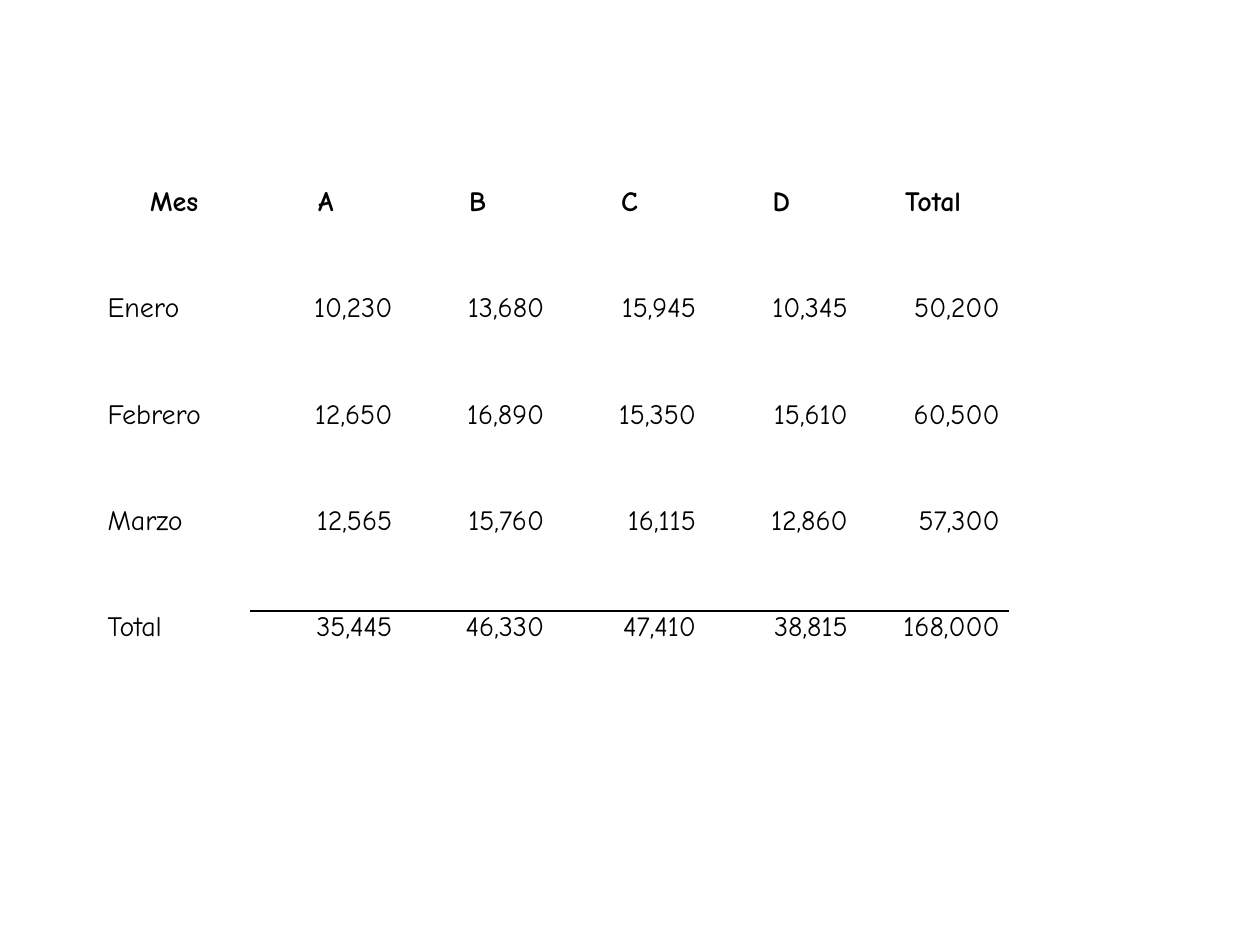
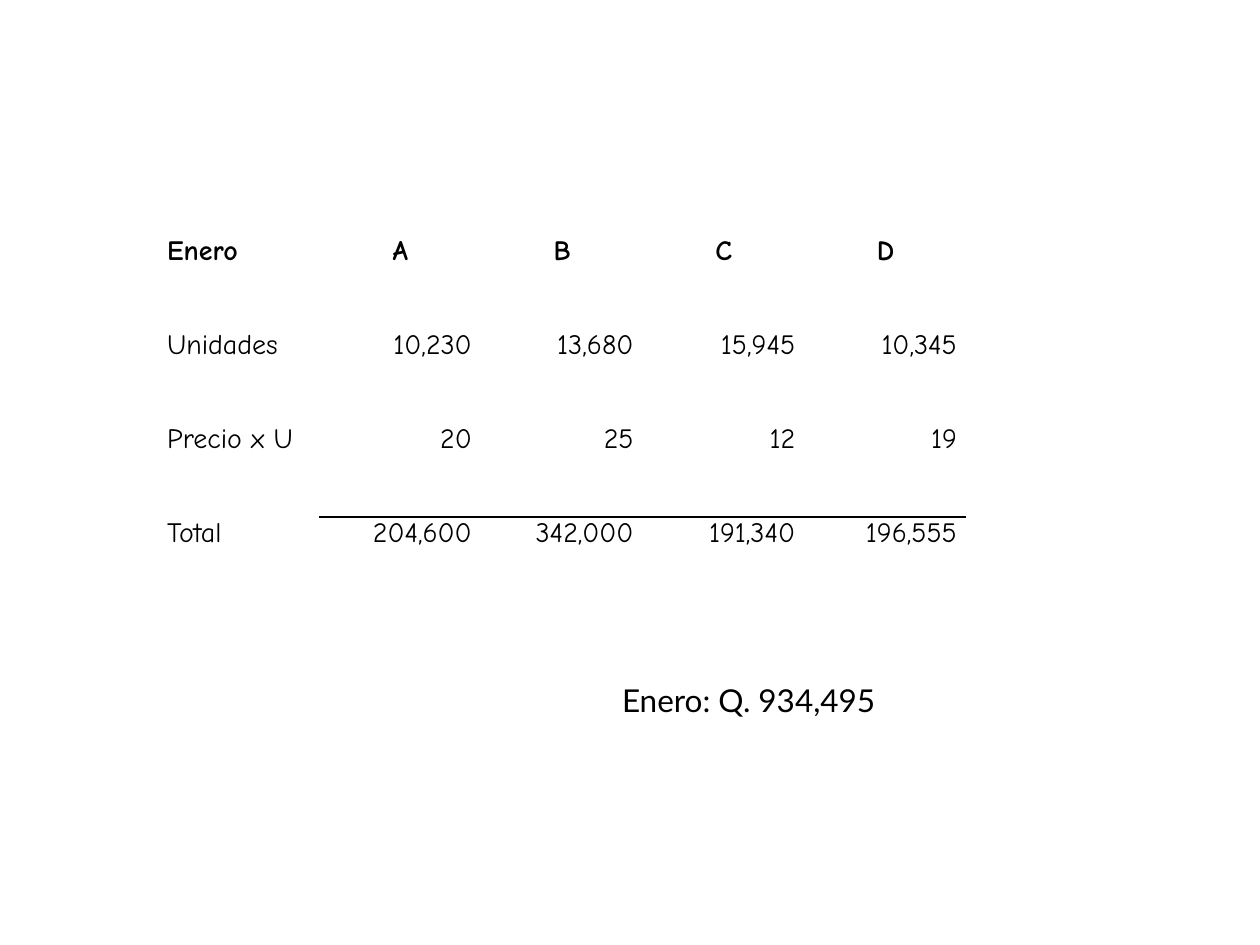
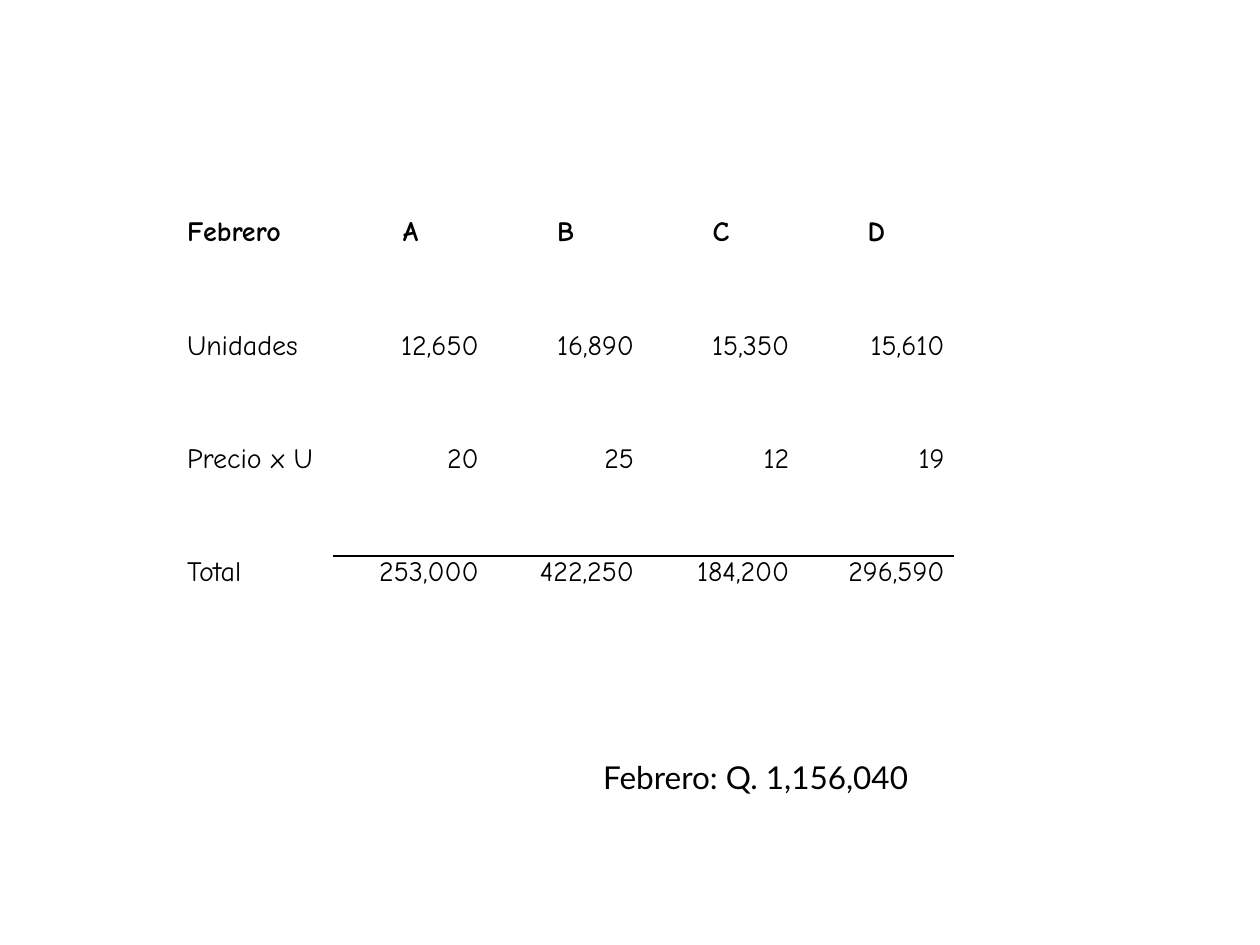
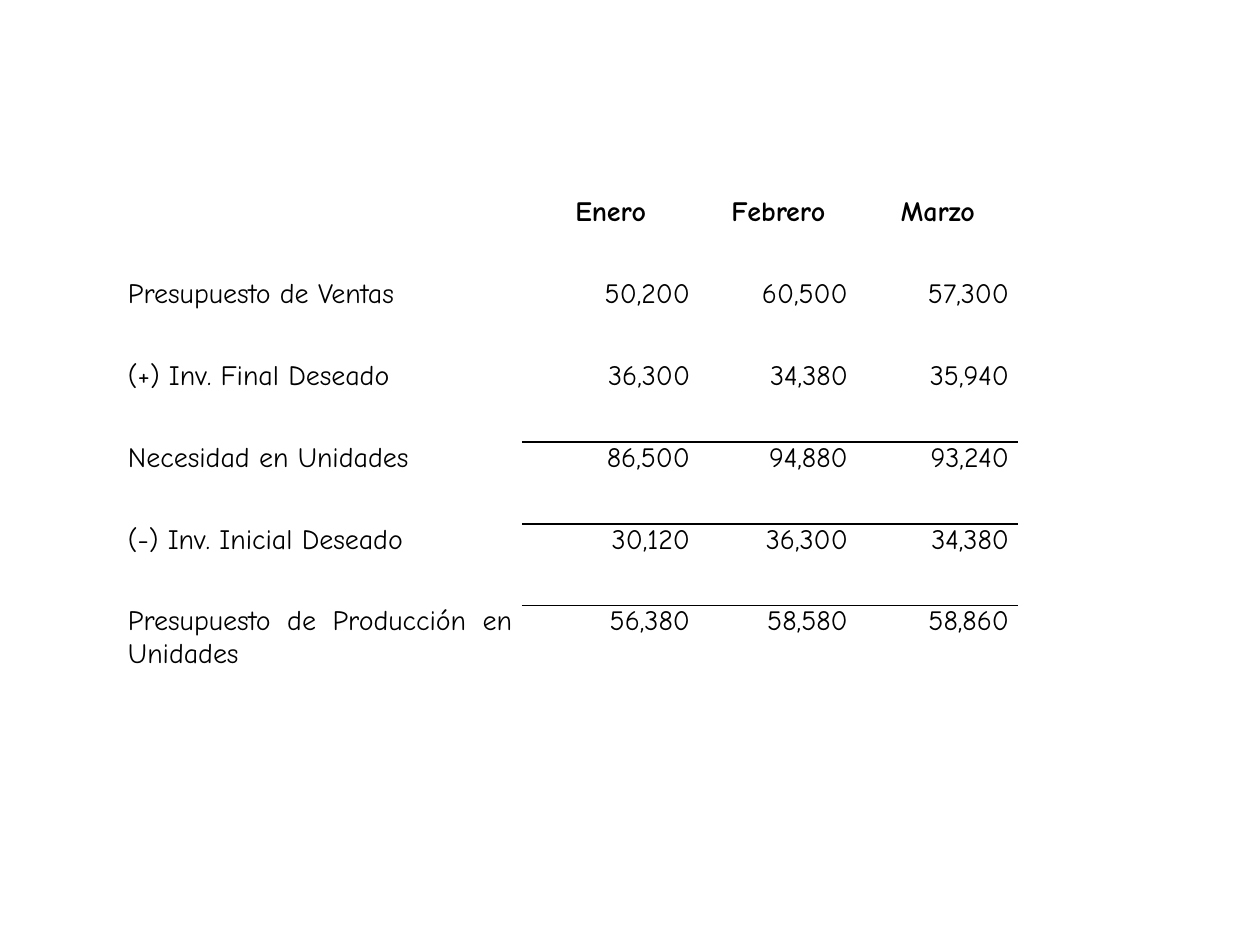
from pptx import Presentation
from pptx.dml.color import RGBColor
from pptx.enum.text import PP_ALIGN
from pptx.oxml import parse_xml
from pptx.oxml.ns import nsdecls, qn
from pptx.util import Cm, Pt

BLACK = "000000"
TABLE_FONT = "Comic Neue"
NOTE_FONT = "Lato"
NO_STYLE_NO_GRID = "{2D5ABB26-0587-4C30-8999-92F81FD0307C}"
CELL_INSET = Cm(0.19)


def format_font(font, name, size, bold=False):
    font.name = name
    font.size = Pt(size)
    font.bold = bold
    font.color.rgb = RGBColor.from_string(BLACK)


def add_border(cell, edge):
    """Draw a thin line on one edge of a cell: lnT for top, lnB for bottom."""
    cell._tc.get_or_add_tcPr().append(parse_xml(
        f'<a:{edge} {nsdecls("a")} w="{Pt(1)}"><a:solidFill>'
        f'<a:srgbClr val="{BLACK}"/></a:solidFill></a:{edge}>'))


# Lengths are in centimetres; total_rows are the rows that have a line above them.
sheets = [
    {
        "position": (1.98, 3.76), "columns": [3.06] * 6, "row_height": 2.14,
        "corner_align": PP_ALIGN.CENTER, "total_rows": [4],
        "rows": [
            ["Mes", "A", "B", "C", "D", "Total"],
            ["Enero", 10230, 13680, 15945, 10345, 50200],
            ["Febrero", 12650, 16890, 15350, 15610, 60500],
            ["Marzo", 12565, 15760, 16115, 12860, 57300],
            ["Total", 35445, 46330, 47410, 38815, 168000],
        ],
    },
    {
        "position": (3.18, 4.75), "columns": [3.26] * 5, "row_height": 1.89,
        "corner_align": PP_ALIGN.JUSTIFY, "total_rows": [3],
        "rows": [
            ["Enero", "A", "B", "C", "D"],
            ["Unidades", 10230, 13680, 15945, 10345],
            ["Precio x U", 20, 25, 12, 19],
            ["Total", 204600, 342000, 191340, 196555],
        ],
        "note": ("Enero: Q. 934,495", 12.29, 13.61),
    },
    {
        "position": (3.58, 4.37), "columns": [3.13] * 5, "row_height": 2.28,
        "corner_align": PP_ALIGN.JUSTIFY, "total_rows": [3],
        "rows": [
            ["Febrero", "A", "B", "C", "D"],
            ["Unidades", 12650, 16890, 15350, 15610],
            ["Precio x U", 20, 25, 12, 19],
            ["Total", 253000, 422250, 184200, 296590],
        ],
        "note": ("Febrero: Q. 1,156,040", 11.91, 15.16),
    },
    {
        "position": (2.39, 3.96), "columns": [8.13, 3.58, 3.18, 3.25], "row_height": 1.65,
        "corner_align": PP_ALIGN.JUSTIFY, "total_rows": [3, 5],
        "rows": [
            ["", "Enero", "Febrero", "Marzo"],
            ["Presupuesto de Ventas", 50200, 60500, 57300],
            ["(+) Inv. Final Deseado", 36300, 34380, 35940],
            ["Necesidad en Unidades", 86500, 94880, 93240],
            ["(-) Inv. Inicial Deseado", 30120, 36300, 34380],
            ["Presupuesto de Producción en Unidades", 56380, 58580, 58860],
        ],
    },
]

presentation = Presentation()
presentation.slide_width = Cm(25.4)
presentation.slide_height = Cm(19.05)
blank_layout = presentation.slide_layouts[6]

for sheet in sheets:
    slide = presentation.slides.add_slide(blank_layout)
    rows, columns = sheet["rows"], sheet["columns"]
    left, top = sheet["position"]
    table = slide.shapes.add_table(
        len(rows), len(columns), Cm(left), Cm(top),
        Cm(sum(columns)), Cm(sheet["row_height"] * len(rows))).table
    table.horz_banding = False
    table._tbl.tblPr.find(qn("a:tableStyleId")).text = NO_STYLE_NO_GRID
    for column, width in zip(table.columns, columns):
        column.width = Cm(width)

    for row_index, values in enumerate(rows):
        table.rows[row_index].height = Cm(sheet["row_height"])
        for column_index, value in enumerate(values):
            cell = table.cell(row_index, column_index)
            cell.margin_left = cell.margin_right = CELL_INSET
            cell.margin_top = cell.margin_bottom = 0
            if column_index > 0 and row_index in sheet["total_rows"]:
                add_border(cell, "lnT")
            if column_index > 0 and row_index + 1 in sheet["total_rows"]:
                add_border(cell, "lnB")
            cell.fill.background()

            cell.text = f"{value:,}" if isinstance(value, int) else value
            paragraph = cell.text_frame.paragraphs[0]
            format_font(paragraph.font, TABLE_FONT, 16, bold=row_index == 0)
            if column_index == 0:
                paragraph.alignment = sheet["corner_align"] if row_index == 0 else PP_ALIGN.JUSTIFY
            else:
                paragraph.alignment = PP_ALIGN.CENTER if row_index == 0 else PP_ALIGN.RIGHT

    if "note" in sheet:
        text, left, top = sheet["note"]
        note = slide.shapes.add_textbox(Cm(left), Cm(top), Cm(7.34), Cm(1.02))
        note.text_frame.word_wrap = True
        note.text_frame.text = text
        format_font(note.text_frame.paragraphs[0].font, NOTE_FONT, 18)

presentation.save("out.pptx")
